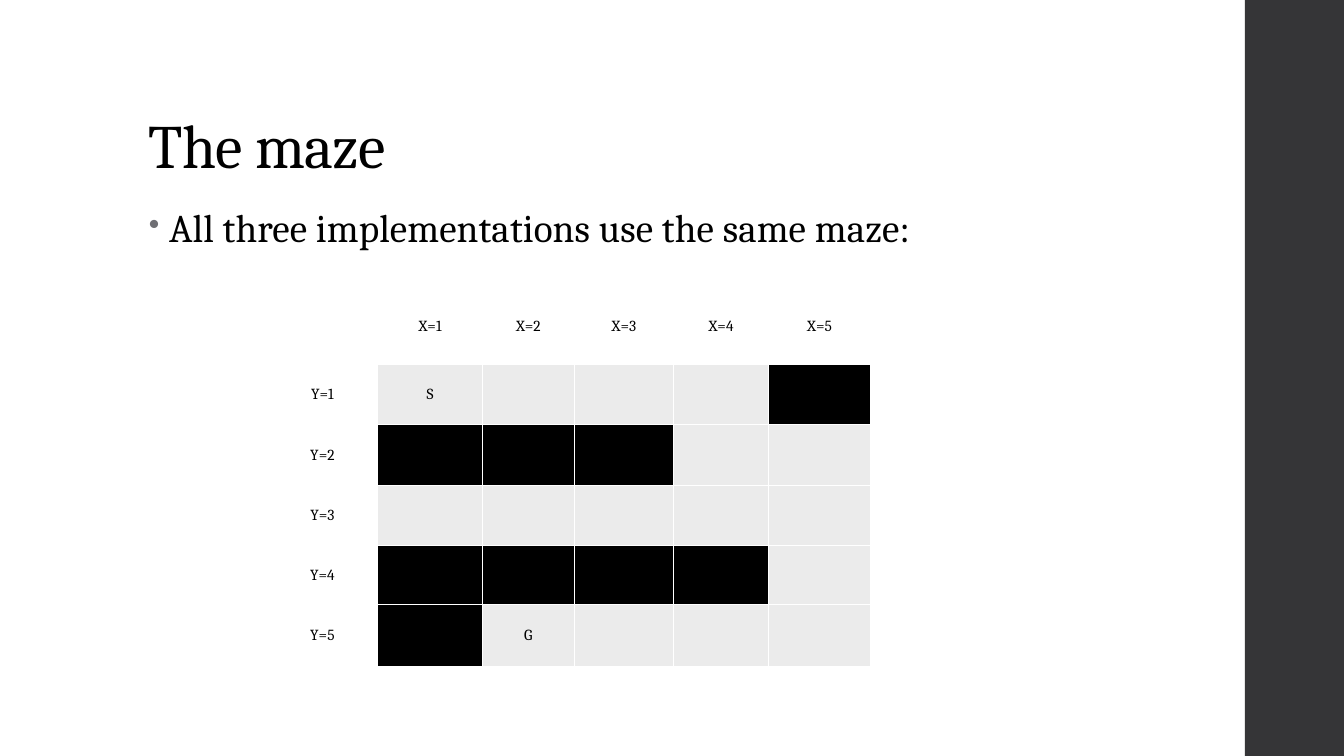
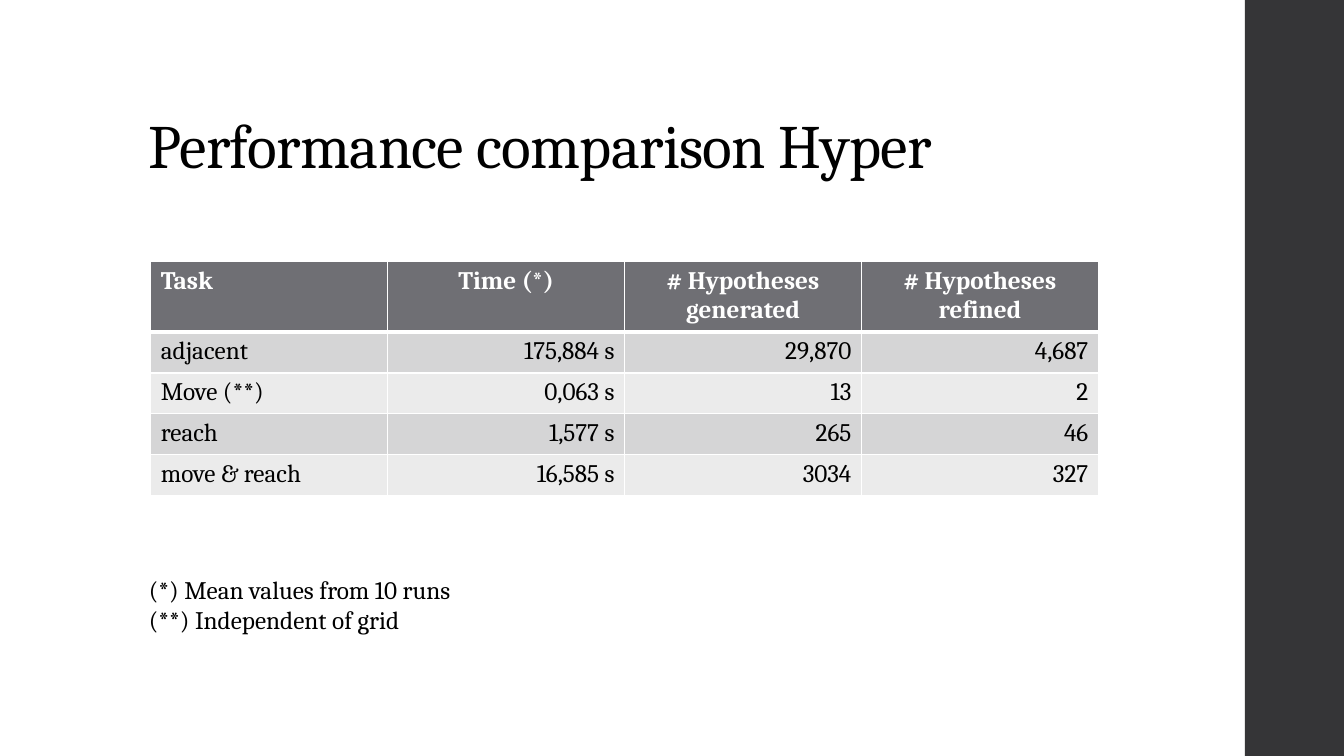
from lxml import etree
from pptx import Presentation, util as u
from pptx.dml.color import RGBColor
from pptx.enum import shapes, text
from pptx.oxml.ns import qn

FONT = "Cambria"
BLACK, WHITE, BAND = "000000", "FFFFFF", "353537"
GREY, DARK_ROW, LIGHT = "6F6F74", "D5D5D6", "EBEBEB"
WIDTH, HEIGHT, BAND_LEFT = 33.87, 19.05, 31.37
LEFT = 3.5
L, C, R = text.PP_ALIGN.LEFT, text.PP_ALIGN.CENTER, text.PP_ALIGN.RIGHT
TOP, MIDDLE, BOTTOM = text.MSO_ANCHOR.TOP, text.MSO_ANCHOR.MIDDLE, text.MSO_ANCHOR.BOTTOM

MAZE_TITLE = "The maze"
MAZE_INTRO = "All three implementations use the same maze:"
# "#" is a wall, "." is open floor
MAZE = ["S...#", "###..", ".....", "####.", "#G..."]
MAZE_COLS = [1.93, 0.43, 2.64, 2.31, 2.51, 2.39, 2.57]
MAZE_ROWS = [1.52, 0.74, 1.5, 1.55, 1.5, 1.5, 1.55]

RESULTS_TITLE = "Performance comparison Hyper"
RESULTS = [
    ("Task", "Time (*)", "# Hypotheses generated", "# Hypotheses refined"),
    ("adjacent", "175,884 s", "29,870", "4,687"),
    ("Move (**)", "0,063 s", "13", "2"),
    ("reach", "1,577 s", "265", "46"),
    ("move & reach", "16,585 s", "3034", "327"),
]
RESULT_COLS = [5.97] * 4
RESULT_ROWS = [1.66] + [1.03] * 4
NOTES = ["(*) Mean values from 10 runs", "(**) Independent of grid"]


def rgb(value):
    """Turn a hex string into a colour."""
    return RGBColor.from_string(value)


def paint(target, color):
    """Give a shape or cell a solid fill."""
    target.fill.solid()
    target.fill.fore_color.rgb = rgb(color)


def style(p, size, color=BLACK, bold=False, align=L):
    """Set the font and alignment of a paragraph."""
    p.alignment = align
    p.font.name, p.font.size, p.font.bold = FONT, u.Pt(size), bold
    p.font.color.rgb = rgb(color)


def add_text(s, lines, box, size, anchor=TOP, spacing=0):
    """Add a wrapping text box, one paragraph a line, and return its paragraphs."""
    tf = s.shapes.add_textbox(*map(u.Cm, box)).text_frame
    tf.word_wrap, tf.vertical_anchor = True, anchor
    tf.text = "\n".join(lines)
    for p in tf.paragraphs:
        style(p, size)
        if spacing:
            for r in p.runs:
                r._r.get_or_add_rPr().set("spc", str(spacing))
    return tf.paragraphs


def add_bullet(p, char, color, percent, indent):
    """Hang a coloured bullet in front of a paragraph."""
    pPr = p._p.get_or_add_pPr()
    pPr.set("marL", str(u.Cm(indent)))
    pPr.set("indent", str(-u.Cm(indent)))
    clr = etree.Element(qn("a:buClr"))
    etree.SubElement(clr, qn("a:srgbClr"), val=color)
    size = etree.Element(qn("a:buSzPct"), val=str(percent * 1000))
    mark = etree.Element(qn("a:buChar"), char=char)
    font = pPr.find(qn("a:defRPr"))
    for part in (clr, size, mark):
        font.addprevious(part)


def add_borders(cell, top=1, bottom=1):
    """Draw white borders round a cell, widths in points."""
    tcPr = cell._tc.get_or_add_tcPr()
    for tag, width in (("lnL", 1), ("lnR", 1), ("lnT", top), ("lnB", bottom)):
        ln = etree.SubElement(tcPr, qn("a:" + tag), w=str(u.Pt(width)))
        fill = etree.SubElement(ln, qn("a:solidFill"))
        etree.SubElement(fill, qn("a:srgbClr"), val=WHITE)


def add_table(s, left, top, cols, rows):
    """Add an unbanded table with the given column widths and row heights."""
    frame = s.shapes.add_table(len(rows), len(cols), u.Cm(left), u.Cm(top),
                               u.Cm(sum(cols)), u.Cm(sum(rows)))
    table = frame.table
    table.first_row = table.horz_banding = False
    for col, width in zip(table.columns, cols):
        col.width = u.Cm(width)
    for row, height in zip(table.rows, rows):
        row.height = u.Cm(height)
    return table


def add_slide(prs, title):
    """Add a blank slide with the side band and the title."""
    s = prs.slides.add_slide(prs.slide_layouts[6])
    sp = s.shapes.add_shape(shapes.MSO_SHAPE.RECTANGLE, u.Cm(BAND_LEFT), 0,
                            u.Cm(WIDTH - BAND_LEFT), u.Cm(HEIGHT))
    sp.shadow.inherit = False
    paint(sp, BAND)
    sp.line.fill.background()
    p = add_text(s, [title], (LEFT, 1.02, 26.92, 3.68), 44, BOTTOM, -50)[0]
    p.line_spacing = 0.9
    return s


def maze_cell(row, col):
    """Return the text and fill of a maze table cell; row 1 and column 1 are gaps."""
    y, x = row - 1, col - 1
    if x > 0 and y > 0:
        mark = MAZE[y - 1][x - 1]
        return mark.strip("#."), BLACK if mark == "#" else LIGHT
    if x > 0 and row == 0:
        return f"X={x}", WHITE
    if y > 0 and col == 0:
        return f"Y={y}", WHITE
    return "", WHITE


def maze_slide(prs):
    """Build the slide that shows the maze."""
    s = add_slide(prs, MAZE_TITLE)
    p = add_text(s, [MAZE_INTRO], (LEFT, 5.08, 23.88, 12.09), 28, spacing=10)[0]
    p.line_spacing, p.space_before, p.space_after = 0.95, u.Pt(14), u.Pt(2)
    add_bullet(p, "•", GREY, 80, 0.51)
    table = add_table(s, 7.16, 6.93, MAZE_COLS, MAZE_ROWS)
    for i in range(len(MAZE_ROWS)):
        for j in range(len(MAZE_COLS)):
            cell = table.cell(i, j)
            cell.text, fill = maze_cell(i, j)
            cell.margin_left = cell.margin_right = cell.margin_top = u.Cm(0.02)
            cell.margin_bottom = 0
            cell.vertical_anchor = MIDDLE if i else BOTTOM
            style(cell.text_frame.paragraphs[0], 11, align=C)
            add_borders(cell)
            paint(cell, fill)


def results_slide(prs):
    """Build the slide that compares the running times."""
    s = add_slide(prs, RESULTS_TITLE)
    table = add_table(s, 3.8, 6.59, RESULT_COLS, RESULT_ROWS)
    for i, row in enumerate(RESULTS):
        header = i == 0
        fill = GREY if header else DARK_ROW if i % 2 else LIGHT
        for j, value in enumerate(row):
            cell = table.cell(i, j)
            cell.text = value
            align = L if j == 0 else C if header else R
            style(cell.text_frame.paragraphs[0], 18,
                  WHITE if header else BLACK, header, align)
            add_borders(cell, top=3 if i == 1 else 1, bottom=3 if header else 1)
            paint(cell, fill)
    add_text(s, NOTES, (LEFT, 14.35, 12.22, 1.8), 18)


prs = Presentation()
prs.slide_width, prs.slide_height = u.Cm(WIDTH), u.Cm(HEIGHT)
maze_slide(prs)
results_slide(prs)
prs.save("out.pptx")
